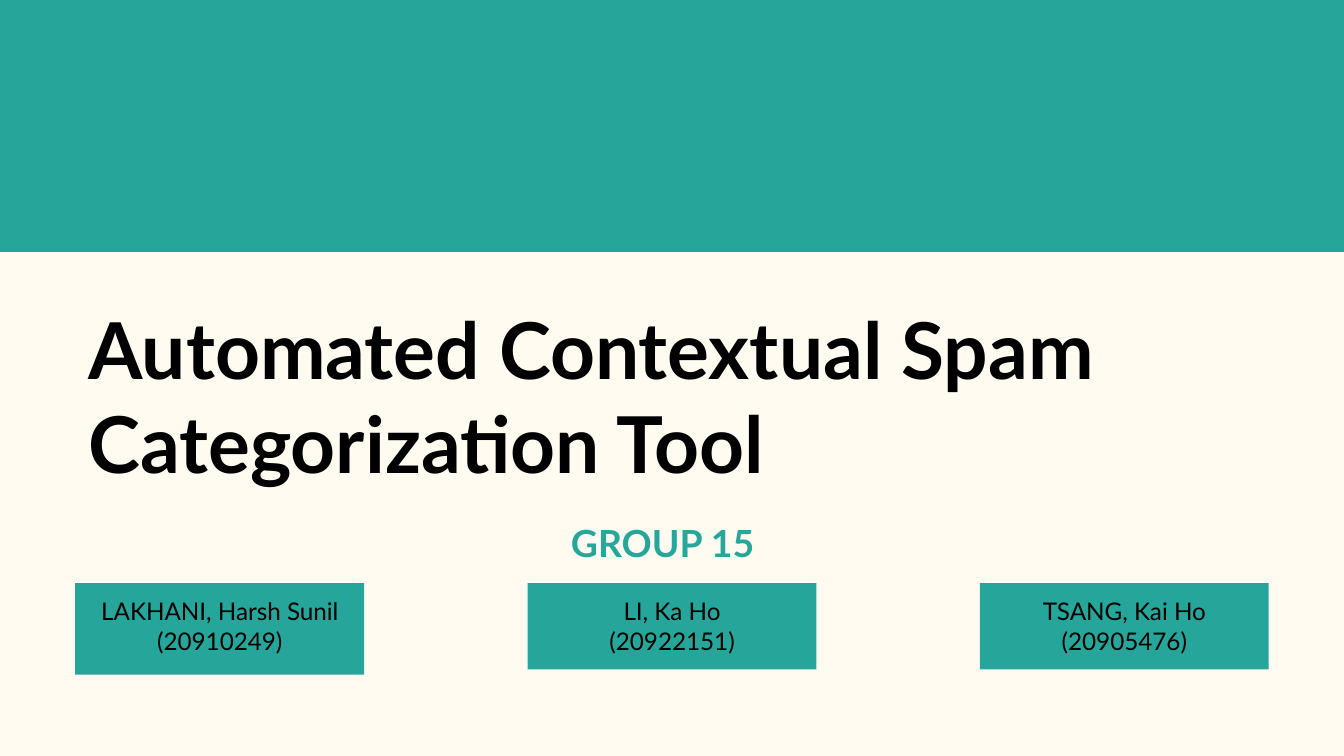
import pptx
import pptx.dml.color
import pptx.enum.shapes
import pptx.enum.text
import pptx.util

THEME = {
    "font": "Lato",
    "cream": "FFFBF0",
    "teal": "26A69A",
    "group_teal": "26A79A",
    "black": "000000",
    "title_size": 42,
    "group_size": 20,
    "member_size": 13,
}
ALIGN = pptx.enum.text.PP_ALIGN
ANCHOR = pptx.enum.text.MSO_ANCHOR

# Slide in 16:9
presentation = pptx.Presentation()
presentation.slide_width = pptx.util.Inches(10)
presentation.slide_height = presentation.slide_width * 9 // 16
slide = presentation.slides.add_slide(presentation.slide_layouts[6])
slide.background.fill.solid()
slide.background.fill.fore_color.rgb = pptx.dml.color.RGBColor.from_string(THEME["cream"])


def add_block(left, top, width, height, fill=None):
    """Add a filled rectangle or a text box, placed in percent of the slide."""
    place = [
        round(share / 100 * side)
        for share, side in zip(
            (left, top, width, height),
            (presentation.slide_width, presentation.slide_height) * 2,
        )
    ]
    if fill is None:
        return slide.shapes.add_textbox(*place)
    shape = slide.shapes.add_shape(pptx.enum.shapes.MSO_SHAPE.RECTANGLE, *place)
    shape.shadow.inherit = False
    shape.fill.solid()
    shape.fill.fore_color.rgb = pptx.dml.color.RGBColor.from_string(fill)
    shape.line.fill.background()
    return shape


def write(shape, lines, size, color, bold=False, align=ALIGN.LEFT, anchor=ANCHOR.TOP, inset=0.1):
    """Write one paragraph per line in the shape."""
    frame = shape.text_frame
    frame_format = {
        "word_wrap": True,
        "vertical_anchor": anchor,
        "margin_left": pptx.util.Inches(0.1),
        "margin_right": pptx.util.Inches(0.1),
        "margin_top": pptx.util.Inches(inset),
        "margin_bottom": pptx.util.Inches(inset),
    }
    for name, value in frame_format.items():
        setattr(frame, name, value)
    frame.text = "\n".join(lines)
    font_format = {"name": THEME["font"], "size": pptx.util.Pt(size), "bold": bold}
    for paragraph in frame.paragraphs:
        paragraph.alignment = align
        font = paragraph.runs[0].font
        for name, value in font_format.items():
            setattr(font, name, value)
        font.color.rgb = pptx.dml.color.RGBColor.from_string(color)


# Top band, one third of the slide
add_block(0, 0, 100, 100 / 3, THEME["teal"])

# Title
margin = 5.6
title = add_block(margin, 36.8, 100 - 2 * margin, 29.7)
write(title, ["Automated Contextual Spam Categorization Tool"],
      THEME["title_size"], THEME["black"], bold=True, anchor=ANCHOR.BOTTOM)

# Member cards, spread evenly between the margins
members = [
    ("LAKHANI, Harsh Sunil", "(20910249)", 12.1),
    ("LI, Ka Ho", "(20922151)", 11.4),
    ("TSANG, Kai Ho", "(20905476)", 11.4),
]
card_width = 21.5
card_step = (100 - 2 * margin - card_width) / (len(members) - 1)
for column, (member, number, card_height) in enumerate(members):
    card = add_block(margin + column * card_step, 77.15, card_width, card_height, THEME["teal"])
    write(card, [member, number], THEME["member_size"], THEME["black"], align=ALIGN.CENTER)

# Group label
group = add_block(41.5, 67.95, 17, 7.8)
write(group, ["GROUP 15"], THEME["group_size"], THEME["group_teal"], bold=True, inset=0.05)

presentation.save("out.pptx")
